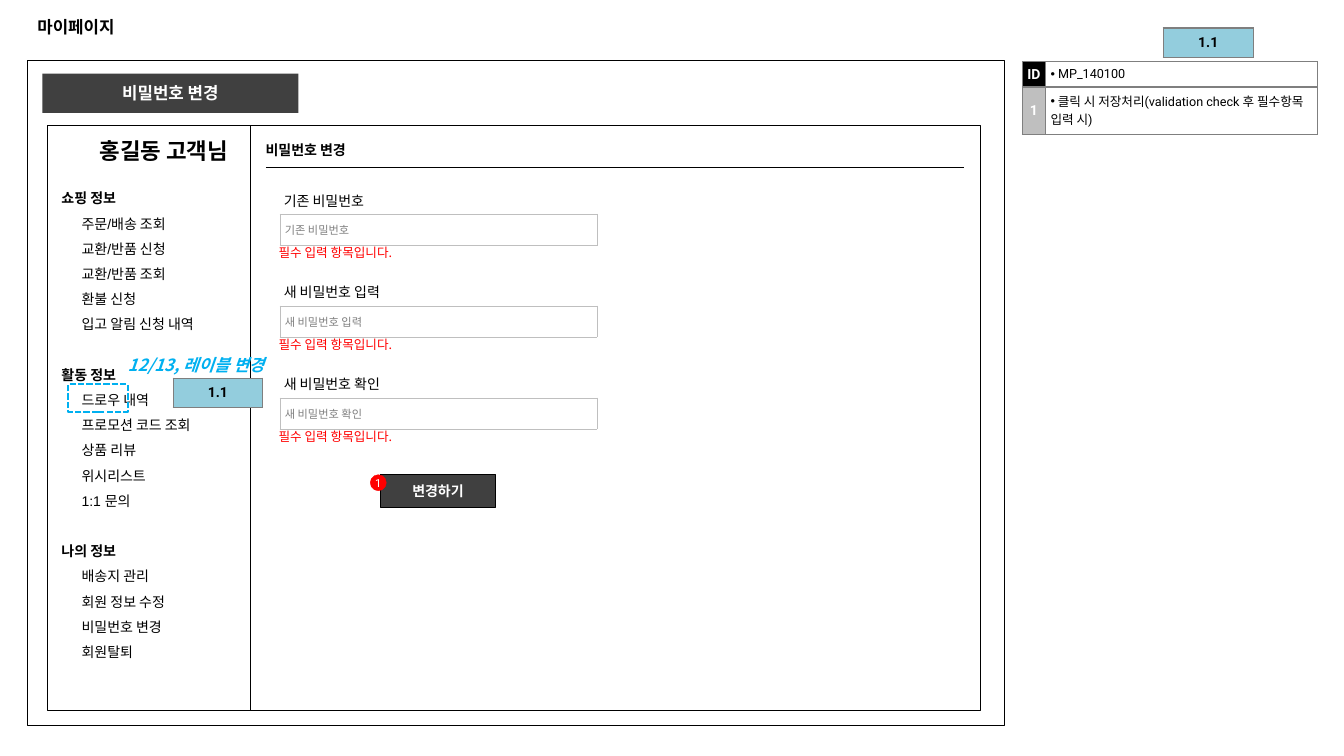
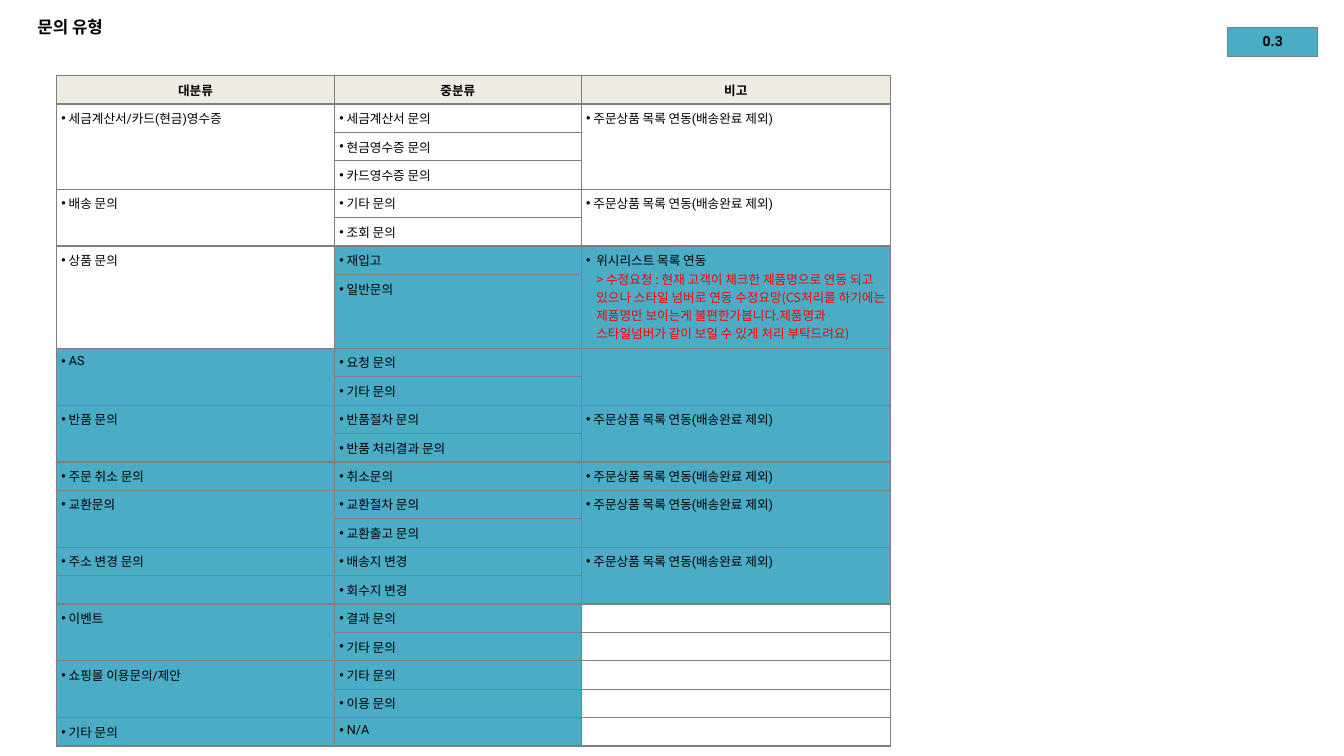
import dataclasses
import lxml.etree
import pptx
import pptx.dml.color
import pptx.enum.dml
import pptx.enum.shapes
import pptx.enum.text
import pptx.oxml.ns
import pptx.util

Pt, Inches = pptx.util.Pt, pptx.util.Inches
Shape = pptx.enum.shapes.MSO_SHAPE
Align = pptx.enum.text.PP_ALIGN
Anchor = pptx.enum.text.MSO_ANCHOR
qn = pptx.oxml.ns.qn


@dataclasses.dataclass(frozen=True)
class Theme:
    ink: str = "000000"
    paper: str = "FFFFFF"
    dark: str = "404040"
    rule: str = "7F7F7F"
    pale: str = "BFBFBF"
    hint: str = "808080"
    alert: str = "FF0000"
    mark: str = "00B0F0"
    sky: str = "93CDDD"
    teal: str = "4BACC6"
    cream: str = "EEECE1"
    sans: str = "Arial"
    latin: str = "Roboto"
    hangul: str = "Noto Sans CJK KR"
    tiny: int = 8
    small: int = 9
    base: int = 10
    head: int = 12
    large: int = 16
    thin: float = 0.25
    line: float = 0.75


T = Theme()


@dataclasses.dataclass(frozen=True)
class Box:
    """An area in inches, cut into parts by percent."""
    x: float
    y: float
    w: float
    h: float

    def cut(self, x, y, w, h):
        return Box(self.x + self.w * x / 100, self.y + self.h * y / 100,
                   self.w * w / 100, self.h * h / 100)

    @property
    def emu(self):
        return [Inches(v) for v in (self.x, self.y, self.w, self.h)]


PAGE = Box(0, 0, 13.33, 7.5)

MENU = {
    "쇼핑 정보": ["주문/배송 조회", "교환/반품 신청", "교환/반품 조회", "환불 신청",
              "입고 알림 신청 내역"],
    "활동 정보": ["드로우 내역", "프로모션 코드 조회", "상품 리뷰", "위시리스트", "1:1 문의"],
    "나의 정보": ["배송지 관리", "회원 정보 수정", "비밀번호 변경", "회원탈퇴"],
}
FIELDS = ["기존 비밀번호", "새 비밀번호 입력", "새 비밀번호 확인"]
LINKED = "주문상품 목록 연동(배송완료 제외)"
WISH = "위시리스트 목록 연동"
REQUEST = ("> 수정요청 : 현재 고객이 체크한 제품명으로 연동 되고 있으나 스타일 넘버로 "
           "연동 수정요망(CS처리를 하기에는 제품명만 보이는게 불편한가봅니다."
           "제품명과 스타일넘버가 같이 보일 수 있게 처리 부탁드려요)")
MOVE = "주소 변경 문의"
TOPICS = [
    ("세금계산서/카드(현금)영수증", ["세금계산서 문의", "현금영수증 문의", "카드영수증 문의"], LINKED),
    ("배송 문의", ["기타 문의", "조회 문의"], LINKED),
    ("상품 문의", ["재입고", "일반문의"], WISH),
    ("AS", ["요청 문의", "기타 문의"], ""),
    ("반품 문의", ["반품절차 문의", "반품 처리결과 문의"], LINKED),
    ("주문 취소 문의", ["취소문의"], LINKED),
    ("교환문의", ["교환절차 문의", "교환출고 문의"], LINKED),
    (MOVE, ["배송지 변경", "회수지 변경"], LINKED),
    ("이벤트", ["결과 문의", "기타 문의"], ""),
    ("쇼핑몰 이용문의/제안", ["기타 문의", "이용 문의"], ""),
    ("기타 문의", ["N/A"], ""),
]


def rgb(code):
    return pptx.dml.color.RGBColor.from_string(code)


def write(frame, text, size=T.base, font=T.sans, color=T.ink, bold=False,
          slant=False, align=Align.LEFT, lead=None, above=0, left=0, hang=0,
          bullet=False, join=False):
    """Adds a paragraph, or a line of the last paragraph if join is set."""
    para = frame.paragraphs[-1]
    if join:
        para.add_line_break()
    else:
        if para.runs:
            para = frame.add_paragraph()
        para.alignment = align
        para.space_before = Pt(above)
        if lead:
            para.line_spacing = lead
        props = para._p.get_or_add_pPr()
        props.set("marL", str(Inches(left)))
        props.set("indent", str(Inches(-hang)))
        if bullet:
            lxml.etree.SubElement(props, qn("a:buFont")).set("typeface", T.sans)
            lxml.etree.SubElement(props, qn("a:buChar")).set("char", "•")
        else:
            lxml.etree.SubElement(props, qn("a:buNone"))
    if not text:
        para._p.get_or_add_endParaRPr().set("sz", str(size * 100))
        return
    run = para.add_run()
    run.text = text
    face = run.font
    face.size, face.name, face.bold, face.italic = Pt(size), font, bold, slant
    face.color.rgb = rgb(color)
    east = lxml.etree.Element(qn("a:ea"), typeface=T.hangul)
    run._r.rPr.find(qn("a:latin")).addnext(east)


def inset(part, x, y):
    part.margin_left = part.margin_right = Inches(x)
    part.margin_top = part.margin_bottom = Inches(y)


def label(slide, box, text, pad=(0.1, 0.05), wrap=True, anchor=Anchor.TOP, **style):
    frame = slide.shapes.add_textbox(*box.emu).text_frame
    frame.word_wrap, frame.vertical_anchor = wrap, anchor
    inset(frame, *pad)
    write(frame, text, **style)


def shape(slide, box, fill=None, line=None, width=T.thin, text="",
          kind=Shape.RECTANGLE, **style):
    item = slide.shapes.add_shape(kind, *box.emu)
    item.shadow.inherit = False
    if fill:
        item.fill.solid()
        item.fill.fore_color.rgb = rgb(fill)
    else:
        item.fill.background()
    if line:
        item.line.color.rgb, item.line.width = rgb(line), Pt(width)
    else:
        item.line.fill.background()
    if text:
        inset(item.text_frame, 0, 0)
        item.text_frame.vertical_anchor = Anchor.MIDDLE
        write(item.text_frame, text, color=T.paper, align=Align.CENTER, **style)
    return item


def grid(slide, box, cols, rows):
    """Adds a plain table; cols and rows are relative sizes."""
    table = slide.shapes.add_table(len(rows), len(cols), *box.emu).table
    table.first_row = table.horz_banding = False
    for col, part in zip(table.columns, cols):
        col.width = Inches(box.w * part / sum(cols))
    for row, part in zip(table.rows, rows):
        row.height = Inches(box.h * part / sum(rows))
    return table


def fill_cell(cell, text, fill, line=T.rule, width=1, pad=(0.05, 0.05),
              anchor=Anchor.TOP, font=T.latin, **style):
    inset(cell, *pad)
    cell.vertical_anchor = anchor
    props = cell._tc.get_or_add_tcPr()
    for side in "LRTB":
        edge = lxml.etree.SubElement(props, qn("a:ln" + side), w=str(Pt(width)))
        paint = lxml.etree.SubElement(edge, qn("a:solidFill"))
        lxml.etree.SubElement(paint, qn("a:srgbClr")).set("val", line)
    cell.fill.solid()
    cell.fill.fore_color.rgb = rgb(fill)
    write(cell.text_frame, text, font=font, **style)


def point(cell, text, fill):
    """Fills a cell with one bullet point."""
    fill_cell(cell, text and " " + text, fill, size=T.small, bullet=bool(text))


def badge(cell, text, fill, color=T.ink):
    fill_cell(cell, text, fill, pad=(0, 0), anchor=Anchor.MIDDLE, color=color,
              bold=True, align=Align.CENTER)


def tag(slide, box, text, fill):
    badge(grid(slide, box, [1], [1]).cell(0, 0), text, fill)


def place(holder, box):
    """Moves a placeholder and returns its text frame."""
    holder.left, holder.top, holder.width, holder.height = box.emu
    frame = holder.text_frame
    frame.word_wrap = True
    frame.auto_size = pptx.enum.text.MSO_AUTO_SIZE.NONE
    return frame


def start(deck, layout, title):
    slide = deck.slides.add_slide(deck.slide_layouts.get_by_name(layout))
    frame = place(slide.shapes.title, PAGE.cut(2.03, 0.93, 95.9, 5.1))
    frame.vertical_anchor = Anchor.MIDDLE
    write(frame, title, size=T.head, bold=True)
    return slide


def menu(slide, box):
    shape(slide, box, line=T.ink)
    label(slide, box.cut(20.8, 1.55, 85.1, 5.7), "홍길동 고객님", size=T.large,
          bold=True, lead=Pt(18))
    frame = place(slide.placeholders[1], box.cut(2, 8.8, 97.5, 81.6))
    for spot, (head, links) in enumerate(MENU.items()):
        write(frame, head, bold=True, lead=Pt(18), above=18 if spot else 0)
        for link in links:
            write(frame, link, lead=Pt(18), left=0.2)
    label(slide, box.cut(34.7, 38.4, 82.7, 5.2), "12/13, 레이블 변경", wrap=False,
          size=T.head, font=T.hangul, color=T.mark, bold=True, slant=True)
    dash = shape(slide, box.cut(10.4, 44.3, 29.2, 4.8), line=T.mark, width=1.5)
    dash.line.dash_style = pptx.enum.dml.MSO_LINE.SQUARE_DOT
    tag(slide, box.cut(61.9, 43.3, 44.1, 5), "1.1", T.sky)


def field(slide, box, name):
    label(slide, box.cut(0, 0, 55.6, 37.6), name, pad=(0.04, 0.04),
          font=T.latin, lead=1.5)
    table = grid(slide, box.cut(0, 40, 100, 36.5), [1], [1])
    fill_cell(table.cell(0, 0), name, T.paper, line=T.pale, width=T.thin,
              pad=(0.05, 0), anchor=Anchor.MIDDLE, size=T.tiny, color=T.hint)
    label(slide, box.cut(-3.5, 70.6, 56.8, 29.4), "필수 입력 항목입니다.",
          size=T.small, font=T.hangul, color=T.alert)


def panel(slide, box):
    shape(slide, box, line=T.ink)
    label(slide, box.cut(0.7, 0.7, 27.2, 5.7), "비밀번호 변경", bold=True,
          lead=Pt(18), anchor=Anchor.MIDDLE)
    x, y, w, _ = box.cut(2.1, 7.2, 95.7, 0).emu
    rule = slide.shapes.add_connector(pptx.enum.shapes.MSO_CONNECTOR.STRAIGHT,
                                      x, y, x + w, y)
    rule.line.color.rgb, rule.line.width = rgb(T.ink), Pt(T.line)
    lxml.etree.SubElement(rule._element.spPr, qn("a:effectLst"))
    for spot, name in enumerate(FIELDS):
        field(slide, box.cut(4, 9.35 + 15.7 * spot, 43.5, 14.7), name)
    shape(slide, box.cut(17.8, 59.8, 15.75, 5.5), T.dark, T.ink, text="변경하기",
          font=T.hangul, bold=True)
    shape(slide, box.cut(16.4, 59.8, 2.2, 2.75), T.alert, T.alert, text="1",
          kind=Shape.OVAL, font=T.latin, size=T.tiny)


def notes(slide, box):
    table = grid(slide, box, [0.23, 2.7], [0.25, 0.47])
    badge(table.cell(0, 0), "ID", T.ink, T.paper)
    badge(table.cell(1, 0), "1", T.pale, T.paper)
    point(table.cell(0, 1), "MP_140100", T.paper)
    point(table.cell(1, 1), "클릭 시 저장처리(validation check 후 필수항목 입력 시)", T.paper)


def topics(slide, box):
    rows = [0.28] * (1 + sum(len(subs) for _, subs, _ in TOPICS))
    rows[7] = 0.73
    table = grid(slide, box, [2.76, 2.45, 3.07], rows)
    for col, head in enumerate(["대분류", "중분류", "비고"]):
        fill_cell(table.cell(0, col), head, T.cream, size=T.small, bold=True,
                  align=Align.CENTER)
    top = 1
    for spot, (name, subs, note) in enumerate(TOPICS):
        end = top + len(subs) - 1
        noted = spot < 8
        fills = [T.teal if new else T.paper
                 for new in (spot >= 3, spot >= 2, spot >= 2 and noted)]
        for step, sub in enumerate(subs):
            texts = ["" if step else name, sub, "" if step else note]
            for col, (text, fill) in enumerate(zip(texts, fills)):
                cell = table.cell(top + step, col)
                if text == WISH:
                    style = dict(size=T.small, font=T.hangul)
                    fill_cell(cell, text, fill, bullet=True, left=0.1, hang=0.1,
                              **style)
                    write(cell.text_frame, REQUEST, color=T.alert, join=True,
                          **style)
                else:
                    point(cell, text, fill)
        for col, joined in ((0, name != MOVE), (2, noted)):
            if joined and end > top:
                table.cell(top, col).merge(table.cell(end, col))
        top = end + 1


def account(deck):
    slide = start(deck, "Title and Content", "마이페이지")
    frame = PAGE.cut(2.03, 8, 72.7, 88)
    shape(slide, frame, line=T.ink, width=T.line)
    shape(slide, frame.cut(1.55, 1.97, 26.2, 5.9), T.dark, text="비밀번호 변경",
          size=T.head, bold=True)
    panel(slide, frame.cut(22.85, 9.7, 74.7, 87.9))
    menu(slide, frame.cut(2.05, 9.7, 20.8, 87.9))
    notes(slide, PAGE.cut(76.07, 8.15, 21.95, 9.6))
    tag(slide, PAGE.cut(86.55, 3.7, 6.7, 3.9), "1.1", T.sky)


def inquiry(deck):
    slide = start(deck, "Title Only", "문의 유형")
    topics(slide, PAGE.cut(4.2, 10, 62.05, 88.4))
    tag(slide, PAGE.cut(91.35, 3.6, 6.7, 3.9), "0.3", T.teal)


def main():
    deck = pptx.Presentation()
    deck.slide_width, deck.slide_height = PAGE.emu[2:]
    account(deck)
    inquiry(deck)
    deck.save("out.pptx")


if __name__ == "__main__":
    main()
